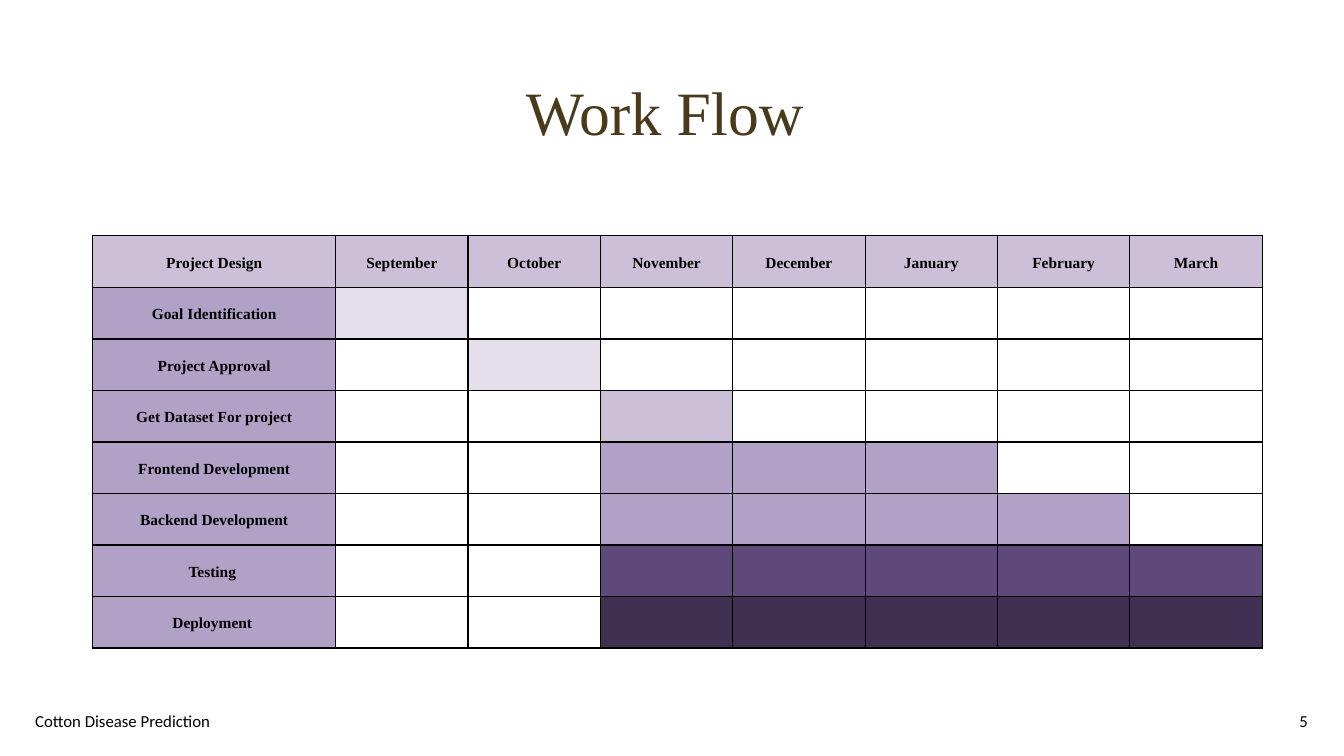
import pptx
import pptx.dml.color
import pptx.enum.text
import pptx.util
from lxml import etree
from pptx.util import Inches, Pt

COLORS = {
    "title": "4A3A1C",
    "black": "000000",
    "pale": "E5DFEC",
    "light": "CCC0D9",
    "medium": "B2A1C7",
    "dark": "5F497A",
    "deepest": "403152",
}
DRAWING_NS = "http://schemas.openxmlformats.org/drawingml/2006/main"
ALIGN = pptx.enum.text.PP_ALIGN
MIDDLE = pptx.enum.text.MSO_ANCHOR.MIDDLE

MONTHS = ["September", "October", "November", "December", "January", "February", "March"]
# Task, first month column, last month column, bar color
TASKS = [
    ("Goal Identification", 1, 1, "pale"),
    ("Project Approval", 2, 2, "pale"),
    ("Get Dataset For project", 3, 3, "light"),
    ("Frontend Development", 3, 5, "medium"),
    ("Backend Development", 3, 6, "medium"),
    ("Testing ", 3, 7, "dark"),
    ("Deployment ", 3, 7, "deepest"),
]


def write_text(text_frame, text, font_name, size, color, alignment, bold=False):
    text_frame.text = text
    paragraph = text_frame.paragraphs[0]
    paragraph.alignment = alignment
    for run in paragraph.runs:
        run.font.name = font_name
        run.font.size = Pt(size)
        run.font.bold = bold
        run.font.color.rgb = pptx.dml.color.RGBColor.from_string(COLORS[color])
    return paragraph


def add_borders(cell):
    """Draw a 1 pt black line on all four sides of the cell."""
    properties = cell._tc.get_or_add_tcPr()
    for side in ("lnL", "lnR", "lnT", "lnB"):
        line = etree.SubElement(properties, f"{{{DRAWING_NS}}}{side}", w=str(Pt(1)))
        fill = etree.SubElement(line, f"{{{DRAWING_NS}}}solidFill")
        etree.SubElement(fill, f"{{{DRAWING_NS}}}srgbClr", val=COLORS["black"])


presentation = pptx.Presentation()
presentation.slide_width = Inches(13.33)
presentation.slide_height = Inches(7.5)
slide = presentation.slides.add_slide(presentation.slide_layouts[5])

# Title
title = slide.shapes.title
title.left, title.top = Inches(0.92), Inches(0.42)
title.width, title.height = Inches(11.5), Inches(1.45)
title.text_frame.vertical_anchor = MIDDLE
paragraph = write_text(title.text_frame, "Work Flow ", "Times New Roman", 44, "title", ALIGN.CENTER)
paragraph.line_spacing = 0.9

# Footer and page number
for text, left, width, alignment in [
    ("Cotton Disease Prediction", 0.25, 4.5, ALIGN.LEFT),
    ("5", 10.07, 3, ALIGN.RIGHT),
]:
    footer = slide.shapes.add_textbox(Inches(left), Inches(6.95), Inches(width), Inches(0.4))
    footer.text_frame.word_wrap = True
    footer.text_frame.vertical_anchor = MIDDLE
    write_text(footer.text_frame, text, "Calibri", 12, "black", alignment)

# Schedule table
table_width, table_height, task_width = Inches(11.6), Inches(4.09), Inches(2.41)
row_count, column_count = len(TASKS) + 1, len(MONTHS) + 1
table = slide.shapes.add_table(
    row_count, column_count, Inches(0.92), Inches(2.34), table_width, table_height
).table
table.first_row = False
table.horz_banding = False
for index, column in enumerate(table.columns):
    column.width = task_width if index == 0 else (table_width - task_width) // len(MONTHS)

for row in range(row_count):
    for column in range(column_count):
        cell = table.cell(row, column)
        cell.vertical_anchor = MIDDLE
        cell.margin_left = cell.margin_right = Inches(0.07)
        cell.margin_top = cell.margin_bottom = 0
        add_borders(cell)

        text, fill = "", None
        if row == 0:
            text, fill = (["Project Design"] + MONTHS)[column], "light"
        else:
            task, first, last, bar_color = TASKS[row - 1]
            if column == 0:
                text, fill = task, "medium"
            elif first <= column <= last:
                fill = bar_color

        if fill:
            cell.fill.solid()
            cell.fill.fore_color.rgb = pptx.dml.color.RGBColor.from_string(COLORS[fill])
        else:
            cell.fill.background()
        if text:
            paragraph = write_text(
                cell.text_frame, text, "Times New Roman", 11, "black", ALIGN.CENTER, bold=True
            )
            paragraph.line_spacing = 1.15
            paragraph.space_after = Pt(6)

presentation.save("out.pptx")
